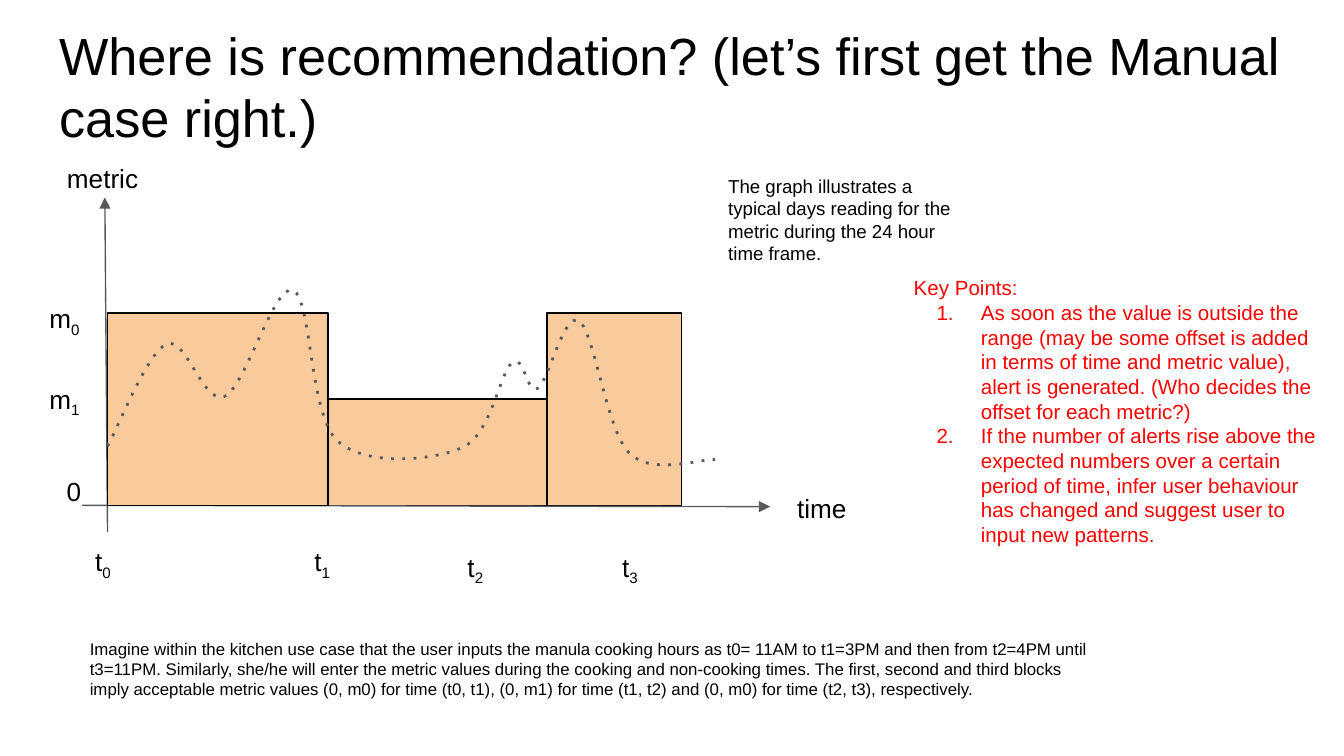
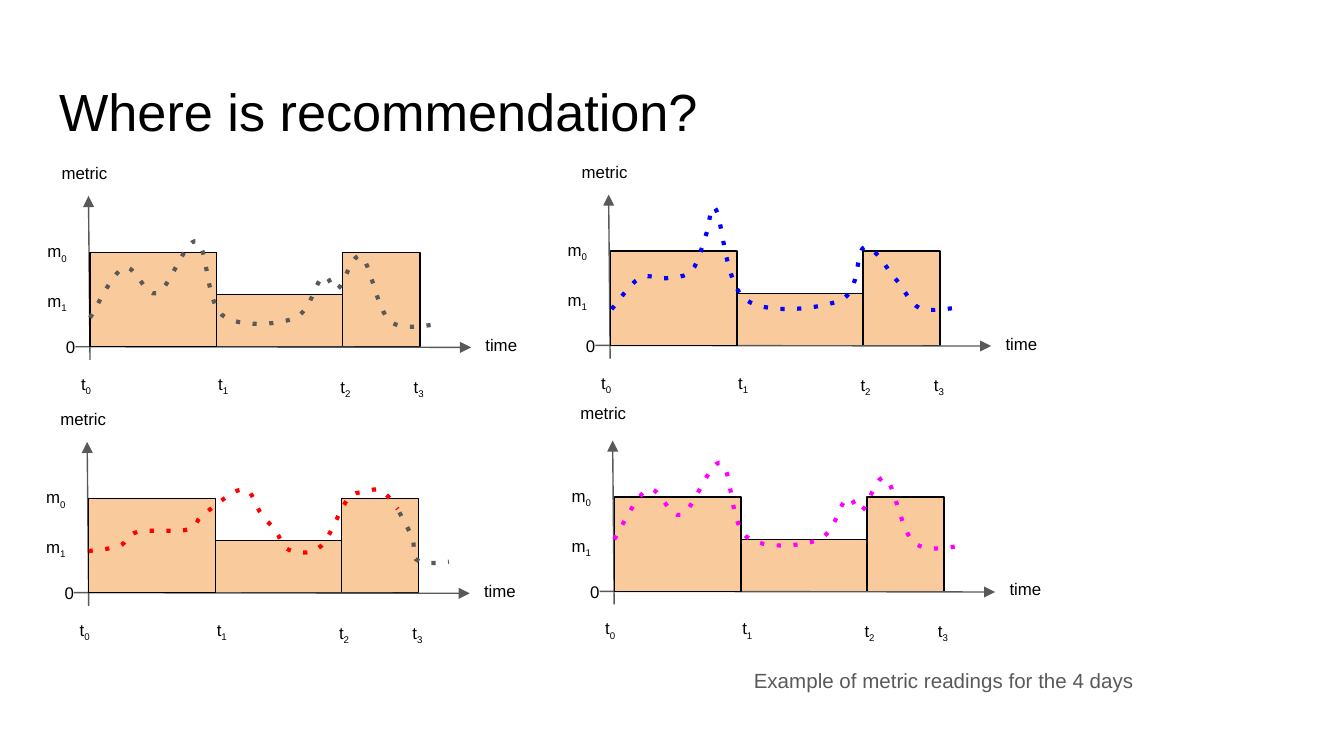
from dataclasses import dataclass
from lxml.etree import SubElement
from pptx import Presentation
from pptx.dml.color import RGBColor
from pptx.enum.shapes import MSO_CONNECTOR, MSO_SHAPE
from pptx.enum.text import MSO_ANCHOR, MSO_AUTO_SIZE, PP_ALIGN
from pptx.oxml import parse_xml
from pptx.oxml.ns import nsdecls, qn
from pptx.util import Inches, Pt

COLORS = {"ink": "000000", "gray": "595959", "block": "F9CB9C",
          "red": "FF0000", "blue": "0000FF", "magenta": "FF00FF"}
FONT = "Arial"
COLUMNS, ROWS = 100, 56.25  # square grid cells
LEFT, CENTER = PP_ALIGN.LEFT, PP_ALIGN.CENTER

# Every graph is defined once, in grid cells from its zero point; up is negative
T0, T1, T2, T3 = 0, 16.4, 32.7, 42.7
M0, M1 = -14.3, -7.9
FIRST_BLOCK, MIDDLE_BLOCK, LAST_BLOCK = (T0, T1, M0), (T1, T2, M1), (T2, T3, M0)
METRIC_AXIS = ((0, 2), (-0.2, -22.9))
TIME_AXIS = ((-1.9, 0), (49.3, 0.1))

# Each reading lists only the points that its smooth curve passes through
TYPICAL = [(0, -4.4), (4.4, -12), (8.7, -8.1), (13.8, -16), (17.1, -4.8), (26.4, -4.3),
           (30.1, -10.6), (32, -8.7), (35.1, -13.7), (38.8, -3.9), (45.2, -3.4)]
HIGHER = [(column, row - 3.5) for column, row in TYPICAL]
SHARP_PEAK = [(0.2, -5.5), (3.8, -10.2), (7.3, -10.2), (10.6, -11.4), (12.5, -17.1), (13.7, -20.6),
              (17.6, -6.9), (29.9, -6.9), (32.9, -14.9), (37, -10), (40, -5.7), (44.9, -5.7)]
LATE_PEAK = [(0, -6.3), (4, -7.1), (6.3, -9.2), (12.9, -9.6), (14.8, -11.8), (20, -15.7),
             (22.4, -11.8), (24.2, -9.4), (25.6, -6.7), (28.3, -6.1), (30.1, -7.1), (31.1, -8.8),
             (33.6, -14.3), (35.7, -15.3), (37.9, -15.5), (40, -12.7)]
LATE_DROP = [(40.2, -12.2), (41.9, -8.2), (42.3, -5.1), (44.7, -4.5), (46.6, -4.7)]


@dataclass
class GraphStyle:
    """Scale and lettering of a graph; label areas are left, top, width, height."""
    scale: tuple
    font_size: int
    curve_width: float
    metric: tuple
    time: tuple
    zero: tuple
    time_marks: list
    value_marks: list
    mark_aligns: list


LARGE = GraphStyle(
    scale=(1, 1), font_size=14, curve_width=1.5,
    metric=(-4, -26.5, 7.7, 4.2), time=(49.3, -2, 7.7, 4.2), zero=(-4.9, -3.2, 4.8, 3.4),
    time_marks=[(-1.9, 2, 3.8, 4.2), (14.4, 2, 3.8, 4.2), (25.8, 2.4, 3.8, 4.2), (37.3, 2.4, 3.8, 4.2)],
    value_marks=[(-5.6, -16.1, 4.8, 3.4), (-5.6, -10.1, 4.8, 3.4)],
    mark_aligns=[LEFT] * 4)
SMALL = GraphStyle(
    scale=(0.575, 0.49), font_size=9, curve_width=2.25,
    metric=(-3.1, -14.7, 6.2, 2), time=(28.4, -1.9, 4.4, 2), zero=(-2.8, -1.6, 2.7, 1.7),
    time_marks=[(-1.9, 1, 3.2, 2), (8.3, 1, 3.2, 2), (17.4, 1.2, 3.2, 2), (23.1, 1.2, 3.9, 2)],
    value_marks=[(-4.4, -8.7, 3.9, 1.7), (-4.4, -5, 3.9, 1.7)],
    mark_aligns=[CENTER] * 3 + [LEFT])

# The four days: zero point, shift of the "metric" label, coloured readings
DAYS = [
    ((6.7, 25.8), (0, 0), [(TYPICAL, "gray")]),
    ((6.6, 44.1), (0, 0), [(LATE_PEAK, "red"), (LATE_DROP, "gray")]),
    ((45.4, 25.7), (0, 0), [(SHARP_PEAK, "blue")]),
    ((45.7, 44), (-0.4, -0.3), [(HIGHER, "magenta")]),
]


def rgb(name):
    return RGBColor.from_string(COLORS[name])


def smooth(knots):
    """Add two control points between neighbours, so the curve keeps its slope at each knot.

    The slope at a knot follows the line from the knot before to the knot after.
    """
    padded = [knots[0], *knots, knots[-1]]
    points = [knots[0]]
    for before, start, end, after in zip(padded, padded[1:], padded[2:], padded[3:]):
        points.append(tuple(s + (e - b) / 6 for b, s, e in zip(before, start, end)))
        points.append(tuple(e - (a - s) / 6 for s, e, a in zip(start, end, after)))
        points.append(end)
    return points


class Sketch:
    """Holds the deck, its grid and the current page."""

    def __init__(self):
        self.deck = Presentation()
        self.deck.slide_width, self.deck.slide_height = Inches(10), Inches(5.625)
        self.page = None

    # Grid
    def x(self, columns):
        return round(self.deck.slide_width * columns / COLUMNS)

    def y(self, rows):
        return round(self.deck.slide_height * rows / ROWS)

    def area(self, left, top, width, height):
        return self.x(left), self.y(top), self.x(width), self.y(height)

    # Text
    def fill_frame(self, frame, text, size, color="ink", align=LEFT):
        frame.word_wrap = True
        frame.auto_size = MSO_AUTO_SIZE.NONE
        frame.vertical_anchor = MSO_ANCHOR.TOP
        frame.margin_left = frame.margin_right = self.x(1)
        frame.margin_top = frame.margin_bottom = self.y(1)
        frame.text = text
        for para in frame.paragraphs:
            para.alignment = align
            para.font.name, para.font.size = FONT, Pt(size)
            para.font.color.rgb = rgb(color)

    def title_page(self, title, top):
        self.page = self.deck.slides.add_slide(self.deck.slide_layouts[5])
        box = self.page.shapes.title
        box.left, box.top, box.width, box.height = self.area(3.4, top, 93.2, 6.3)
        self.fill_frame(box.text_frame, title, 28)

    def text(self, area, text, size, color="ink", align=LEFT):
        box = self.page.shapes.add_textbox(*self.area(*area))
        self.fill_frame(box.text_frame, text, size, color, align)
        return box.text_frame.paragraphs

    def number(self, para, color):
        props = para._p.get_or_add_pPr()
        props.set("marL", str(self.x(5)))
        props.set("indent", str(-self.x(3.3)))
        props.insert(0, parse_xml(f'<a:buClr {nsdecls("a")}><a:srgbClr val="{COLORS[color]}"/></a:buClr>'))
        props.insert(1, parse_xml(f'<a:buAutoNum {nsdecls("a")} type="arabicPeriod"/>'))

    # Shapes
    def block(self, area):
        shape = self.page.shapes.add_shape(MSO_SHAPE.RECTANGLE, *self.area(*area))
        shape.shadow.inherit = False
        shape.fill.solid()
        shape.fill.fore_color.rgb = rgb("block")
        shape.line.color.rgb, shape.line.width = rgb("ink"), Pt(0.75)

    def arrow(self, start, end):
        arrow = self.page.shapes.add_connector(
            MSO_CONNECTOR.STRAIGHT, self.x(start[0]), self.y(start[1]), self.x(end[0]), self.y(end[1]))
        arrow.line.color.rgb, arrow.line.width = rgb("gray"), Pt(0.75)
        SubElement(arrow.line._get_or_add_ln(), qn("a:tailEnd"), type="triangle")
        SubElement(arrow._element.spPr, qn("a:effectLst"))

    def curve(self, knots, color, width):
        start, *rest = [(self.x(column), self.y(row)) for column, row in smooth(knots)]
        builder = self.page.shapes.build_freeform(*start)
        builder.add_line_segments(rest, close=False)
        shape = builder.convert_to_shape()
        shape.shadow.inherit = False
        shape.fill.background()
        shape.line.color.rgb, shape.line.width = rgb(color), Pt(width)
        SubElement(shape.line._get_or_add_ln(), qn("a:prstDash"), val="dot")
        # Gather each three straight segments into one bend
        segments = list(shape._element.iter(qn("a:lnTo")))
        outline = segments[0].getparent()
        for first in range(0, len(segments), 3):
            bend = SubElement(outline, qn("a:cubicBezTo"))
            for segment in segments[first:first + 3]:
                bend.append(segment[0])
                outline.remove(segment)

    # Graph
    def graph(self, style, origin, readings, metric_shift=(0, 0)):
        def place(point):
            return tuple(o + p * s for o, p, s in zip(origin, point, style.scale))

        def draw_block(start, end, value):
            left, top = place((start, value))
            right, bottom = place((end, 0))
            self.block((left, top, right - left, bottom - top))

        def label(text, area, align, subscript=None, shift=(0, 0)):
            left, top, width, height = area
            spot = (origin[0] + left + shift[0], origin[1] + top + shift[1], width, height)
            para = self.text(spot, text, style.font_size, align=align)[0]
            if subscript is not None:
                span = para.add_run()
                span.text = str(subscript)
                span._r.get_or_add_rPr().set("baseline", "-25000")

        # The axes lie over the later blocks and under the first
        draw_block(*LAST_BLOCK)
        draw_block(*MIDDLE_BLOCK)
        for start, end in (METRIC_AXIS, TIME_AXIS):
            self.arrow(place(start), place(end))
        draw_block(*FIRST_BLOCK)
        for knots, color in readings:
            self.curve([place(knot) for knot in knots], color, style.curve_width)

        label("metric", style.metric, LEFT, shift=metric_shift)
        label("time", style.time, CENTER)
        label("0", style.zero, CENTER)
        for index, (area, align) in enumerate(zip(style.time_marks, style.mark_aligns)):
            label("t", area, align, index)
        for index, area in enumerate(style.value_marks):
            label("m", area, CENTER, index)


def typical_day(sketch):
    sketch.title_page("Where is recommendation? (let’s first get the Manual case right.)", 0.7)
    sketch.graph(LARGE, (8, 37.6), [(TYPICAL, "gray")])
    sketch.text((5.7, 46.5, 76.7, 6.3),
                "Imagine within the kitchen use case that the user inputs the manula cooking hours as "
                "t0= 11AM to t1=3PM and then from t2=4PM until t3=11PM. Similarly, she/he will enter the "
                "metric values during the cooking and non-cooking times. The first, second and third "
                "blocks imply acceptable metric values (0, m0) for time (t0, t1), (0, m1) for time "
                "(t1, t2) and (0, m0) for time (t2, t3), respectively.", 9)
    sketch.text((53.2, 12, 19.5, 9.9),
                "The graph illustrates a typical days reading for the metric during the 24 hour time frame.", 10)
    heading, *points = sketch.text(
        (67, 19.5, 33, 23.6),
        "Key Points:\n"
        "As soon as the value is outside the range (may be some offset is added in terms of time and "
        "metric value), alert is generated. (Who decides the offset for each metric?)\n"
        "If the number of alerts rise above the expected numbers over a certain period of time, infer "
        "user behaviour has changed and suggest user to input new patterns.", 11, "red")
    for para in points:
        sketch.number(para, "red")


def four_days(sketch):
    sketch.title_page("Where is recommendation?", 4.9)
    for origin, metric_shift, readings in DAYS:
        sketch.graph(SMALL, origin, readings, metric_shift)
    caption = sketch.text((55.1, 48.4, 41.8, 7.8), "Example of metric readings for the 4 days", 11, "gray")[0]
    caption.line_spacing = 1.15
    caption.space_after = Pt(16)


def main():
    sketch = Sketch()
    typical_day(sketch)
    four_days(sketch)
    sketch.deck.save("out.pptx")


if __name__ == "__main__":
    main()
